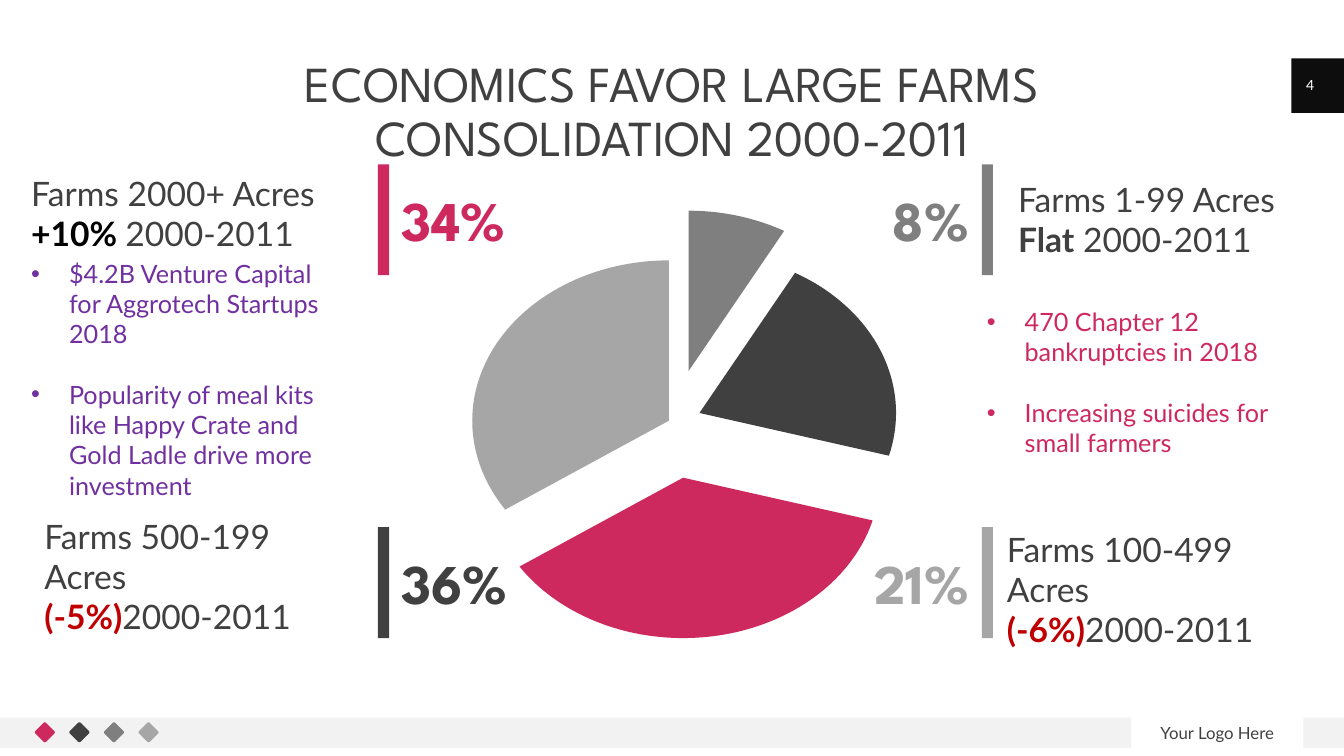
from lxml import etree
from pptx import Presentation
from pptx.chart import data as chart_data
from pptx.dml.color import RGBColor
from pptx.enum import chart as charts, shapes, text
from pptx.oxml import ns
from pptx.util import Pt

PINK = RGBColor(0xCE, 0x29, 0x5E)
DARK = RGBColor(0x40, 0x40, 0x40)
GRAY = RGBColor(0x7F, 0x7F, 0x7F)
LIGHT = RGBColor(0xA6, 0xA6, 0xA6)
PALE = RGBColor(0xF2, 0xF2, 0xF2)
INK = RGBColor(0x0D, 0x0D, 0x0D)
BLACK = RGBColor(0, 0, 0)
WHITE = RGBColor(0xFF, 0xFF, 0xFF)
RED = RGBColor(0xC0, 0, 0)
PURPLE = RGBColor(0x70, 0x30, 0xA0)

BODY = "Lato"
DISPLAY = "League Spartan"
LEFT, CENTER, RIGHT = text.PP_ALIGN.LEFT, text.PP_ALIGN.CENTER, text.PP_ALIGN.RIGHT
TOP, MIDDLE = text.MSO_ANCHOR.TOP, text.MSO_ANCHOR.MIDDLE


def add_block(page, bounds, color, kind=shapes.MSO_SHAPE.RECTANGLE):
    block = page.shapes.add_shape(kind, *map(Pt, bounds))
    block.shadow.inherit = False
    block.fill.solid()
    block.fill.fore_color.rgb = color
    block.line.fill.background()
    return block


def add_frame(page, bounds, anchor):
    frame = page.shapes.add_textbox(*map(Pt, bounds)).text_frame
    frame.margin_left = frame.margin_top = frame.margin_right = frame.margin_bottom = 0
    frame.word_wrap = True
    frame.auto_size = text.MSO_AUTO_SIZE.SHAPE_TO_FIT_TEXT
    frame.vertical_anchor = anchor
    return frame


def style(para, size, color, name=BODY, bold=False):
    font = para.font
    font.size, font.name, font.bold = Pt(size), name, bold
    font.color.rgb = color


def add_label(page, bounds, words, size, color, align=CENTER, name=BODY, bold=False, anchor=MIDDLE):
    para = add_frame(page, bounds, anchor).paragraphs[0]
    para.text = words
    para.alignment = align
    style(para, size, color, name, bold)
    return para


def add_farm_note(page, left, top, acres, change, change_color, period):
    frame = add_frame(page, (left, top, 212.4, 58.3), MIDDLE)
    heading = frame.paragraphs[0]
    heading.text = acres
    style(heading, 24, DARK)
    trend = frame.add_paragraph()
    style(trend, 24, DARK)
    span = trend.add_run()
    span.text = change
    span.font.bold = True
    span.font.color.rgb = change_color
    trend.add_run().text = period


def add_bullets(page, bounds, items, color):
    frame = add_frame(page, bounds, TOP)
    for index, item in enumerate(items):
        para = frame.add_paragraph() if index else frame.paragraphs[0]
        para.text = item
        properties = para._p.get_or_add_pPr()
        properties.set("marL", str(Pt(27)))
        properties.set("indent", str(Pt(-27)))
        if index:
            para.space_before = Pt(21.6)
        etree.SubElement(properties, ns.qn("a:buFont")).set("typeface", "Arial")
        etree.SubElement(properties, ns.qn("a:buChar")).set("char", "•")
        style(para, 18, color)


def add_pie(page, bounds):
    data = chart_data.CategoryChartData()
    data.categories = ["1", "2", "3", "4"]
    data.add_series("Series 1", (8, 21, 36, 34))
    chart = page.shapes.add_chart(charts.XL_CHART_TYPE.PIE, *map(Pt, bounds), data).chart
    chart.has_legend = chart.has_title = False
    chart.font.size, chart.font.name = Pt(10), BODY
    chart.font.color.rgb = BLACK
    plot = chart.plots[0]
    plot.vary_by_categories = True
    series = plot.series[0]
    for index, color in enumerate((GRAY, DARK, PINK, LIGHT)):
        fill = series.points[index].format.fill
        fill.solid()
        fill.fore_color.rgb = color
    slices = series._element.findall(ns.qn("c:dPt"))
    for piece, distance in zip(slices, (33, 15, 35, 2)):
        explosion = etree.Element(ns.qn("c:explosion"), val=str(distance))
        piece.find(ns.qn("c:spPr")).addprevious(explosion)
    area = chart._chartSpace.chart.plotArea
    layout = area.find(ns.qn("c:layout"))
    if layout is None:
        layout = etree.Element(ns.qn("c:layout"))
        area.insert(0, layout)
    manual = etree.SubElement(layout, ns.qn("c:manualLayout"))
    settings = (("layoutTarget", "inner"), ("xMode", "edge"), ("yMode", "edge"),
                ("x", "0.04"), ("y", "0.04"), ("w", "0.92"), ("h", "0.92"))
    for tag, value in settings:
        etree.SubElement(manual, ns.qn("c:" + tag)).set("val", value)


def add_footer(page):
    add_block(page, (0, 512.6, 808, 21.6), PALE)
    add_block(page, (931, 512.6, 29, 21.6), PALE)
    for index, color in enumerate((PINK, DARK, GRAY, LIGHT)):
        bounds = (26.6 + 24.7 * index, 517.7, 10.8, 10.8)
        diamond = add_block(page, bounds, color, shapes.MSO_SHAPE.ROUNDED_RECTANGLE)
        diamond.adjustments[0] = 0.11
        diamond.rotation = 45
    add_label(page, (808, 512.6, 123, 21.6), "Your Logo Here", 12, DARK)


def main():
    deck = Presentation()
    deck.slide_width, deck.slide_height = Pt(960), Pt(540)
    page = deck.slides.add_slide(deck.slide_layouts[6])

    add_footer(page)
    add_block(page, (922.5, 41.8, 37.5, 38.9), INK)
    add_label(page, (919.4, 46.1, 33.1, 28.8), "4", 10, WHITE)
    title = add_label(page, (66, 41.8, 828, 78.5),
                      "ECONOMICS FAVOR LARGE FARMS\vCONSOLIDATION 2000-2011",
                      36, DARK, name=DISPLAY, anchor=TOP)
    title.line_spacing = 0.9
    add_pie(page, (251.3, 150.5, 457.9, 305.3))

    upper, lower = 117.4, 376.6
    shares = (("34%", PINK, LEFT, upper), ("36%", DARK, LEFT, lower),
              ("8%", GRAY, RIGHT, upper), ("21%", LIGHT, RIGHT, lower))
    for share, color, align, top in shares:
        bar_left, share_left = (270, 286.6) if align == LEFT else (701.3, 542.2)
        add_block(page, (bar_left, top, 7.9, 79.2), color)
        add_label(page, (share_left, top + 15.1, 149.8, 48.2), share, 40, color,
                  align, DISPLAY, True)

    add_farm_note(page, 22.3, 123.1, "Farms 2000+ Acres", "+10% ", BLACK, "2000-2011")
    add_farm_note(page, 727.2, 127.4, "Farms 1-99 Acres", "Flat", DARK, " 2000-2011")
    add_farm_note(page, 31.7, 382.3, "Farms 500-199 Acres", "(-5%)", RED, "2000-2011")
    add_farm_note(page, 719.3, 391.7, "Farms 100-499 Acres", "(-6%)", RED, "2000-2011")

    add_bullets(page, (22.3, 184.4, 212.4, 174.2),
                ("$4.2B Venture Capital for Aggrotech Startups 2018",
                 "Popularity of meal kits like Happy Crate and Gold Ladle drive more investment"),
                PURPLE)
    add_bullets(page, (704.9, 218.9, 212.4, 131),
                ("470 Chapter 12 bankruptcies in 2018",
                 "Increasing suicides for small farmers"), PINK)
    deck.save("out.pptx")


if __name__ == "__main__":
    main()
